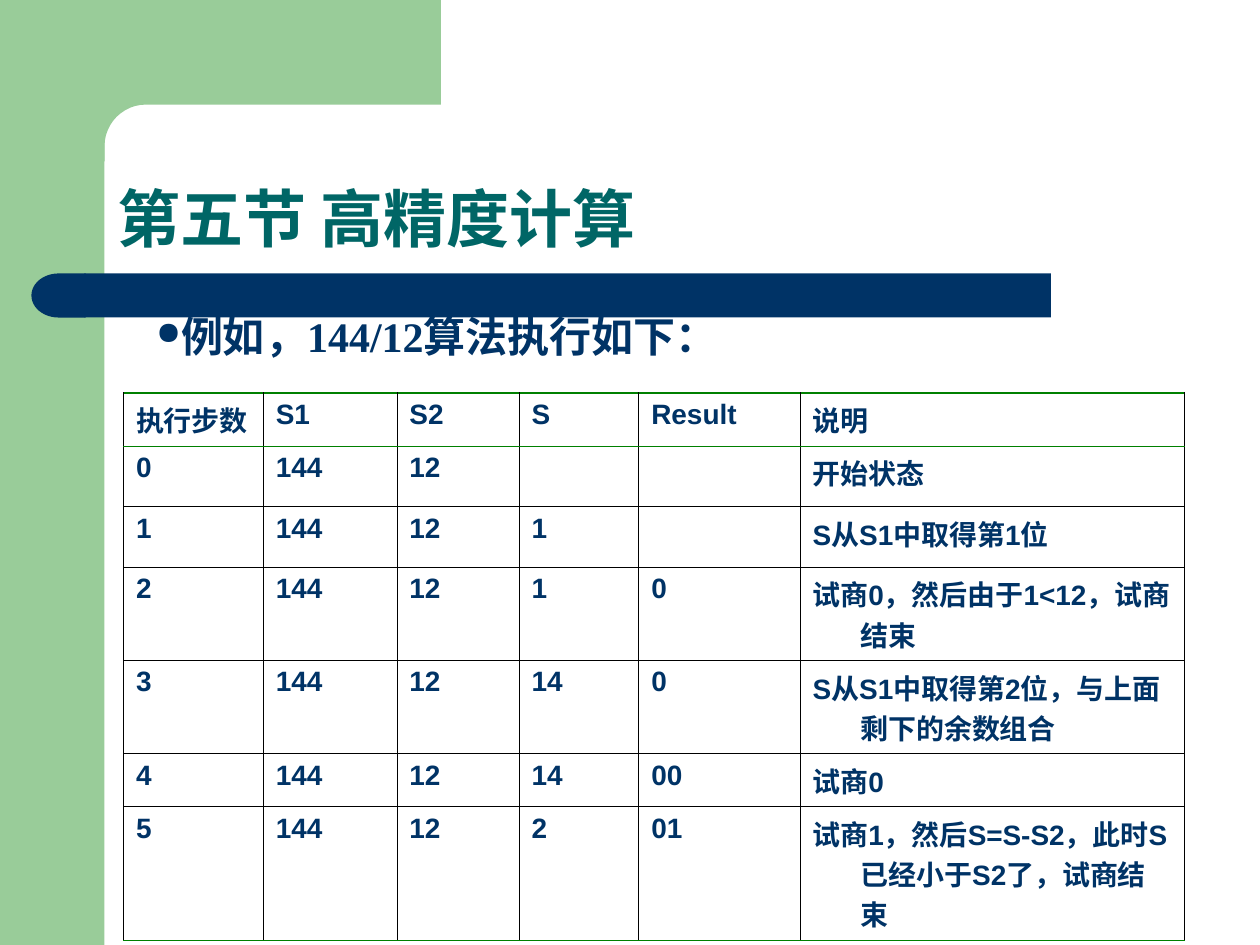
from math import cos, pi, sin

from lxml.etree import SubElement
from pptx import Presentation
from pptx.dml.color import RGBColor
from pptx.enum.shapes import MSO_SHAPE as Shape
from pptx.enum.text import MSO_ANCHOR as Anchor, MSO_AUTO_SIZE as Auto, PP_ALIGN as Align
from pptx.oxml.ns import qn
from pptx.util import Inches, Pt

TITLE = "第五节 高精度计算"
LEAD = "例如，144/12算法执行如下："
ROWS = [
    ("执行步数", "S1", "S2", "S", "Result", "说明"),
    ("0", "144", "12", "", "", "开始状态"),
    ("1", "144", "12", "1", "", "S从S1中取得第1位"),
    ("2", "144", "12", "1", "0", "试商0，然后由于1<12，试商结束"),
    ("3", "144", "12", "14", "0", "S从S1中取得第2位，与上面剩下的余数组合"),
    ("4", "144", "12", "14", "00", "试商0"),
    ("5", "144", "12", "2", "01", "试商1，然后S=S-S2，此时S已经小于S2了，试商结束"),
]
WIDTHS = [1.11, 1.06, 0.97, 0.95, 1.28, 3.05]
HEIGHTS = [0.37, 0.48, 0.48, 0.64, 0.64, 0.37, 0.9]
NAVY, TEAL, MINT = "003366", "006666", "99CC99"
THIN, RULE, EDGE = ("000000", 0.34), ("008000", 0.45), ("008000", 0.96)
LINES = [EDGE, RULE] + [THIN] * (len(ROWS) - 2) + [EDGE]


def color(code):
    return RGBColor.from_string(code)


def paint(shape, code):
    shape.shadow.inherit = False
    shape.fill.solid()
    shape.fill.fore_color.rgb = color(code)
    shape.line.fill.background()


def write(frame, text, size, font, code, **form):
    frame.word_wrap = True
    para = frame.paragraphs[0]
    for key, value in form.items():
        setattr(para, key, value)
    run = para.add_run()
    run.text = text
    look = {"size": Pt(size), "name": font, "bold": True}
    for key, value in look.items():
        setattr(run.font, key, value)
    run.font.color.rgb = color(code)
    return para


def border(cell, **sides):
    props = cell._tc.get_or_add_tcPr()
    for i, (side, (code, width)) in enumerate(sides.items()):
        line = props.makeelement(qn(f"a:{side}"), {"w": str(Pt(width))})
        fill = SubElement(line, qn("a:solidFill"))
        SubElement(fill, qn("a:srgbClr"), val=code)
        props.insert(i, line)


def backdrop(shapes):
    bar = shapes.add_shape(Shape.RECTANGLE, 0, 0, Inches(0.83), Inches(7.5))
    paint(bar, MINT)
    mid, rad = 1.16, 0.33
    arc = [(mid - rad * sin(a), mid - rad * cos(a))
           for a in (pi / 2 * i / 12 for i in range(13))]
    points = [(3.5, 0), (3.5, 0.83), *arc, (0.83, 1.28), (0.5, 1.28), (0.5, 0)]
    first, *rest = [(Inches(x), Inches(y)) for x, y in points]
    corner = shapes.build_freeform(*first)
    corner.add_line_segments(rest, close=True)
    paint(corner.convert_to_shape(), MINT)
    for kind, left, width in ((Shape.RECTANGLE, 0.67, 7.67),
                              (Shape.FLOWCHART_DELAY, 0.25, 0.43)):
        band = shapes.add_shape(kind, Inches(left), Inches(2.17), Inches(width), Inches(0.35))
        paint(band, NAVY)
        if kind == Shape.FLOWCHART_DELAY:
            band._element.spPr.xfrm.set("flipH", "1")


def heading(shapes):
    title = shapes.title
    shapes._spTree.append(title._element)
    title.left, title.top, title.width, title.height = map(Inches, (0.83, 0.83, 8.67, 1.25))
    frame = title.text_frame
    frame.auto_size, frame.vertical_anchor = Auto.NONE, Anchor.BOTTOM
    write(frame, TITLE, 36, "Arial", TEAL, alignment=Align.LEFT, line_spacing=0.9)


def steps(shapes):
    table = shapes.add_table(len(ROWS), len(WIDTHS), Inches(0.98), Inches(3.12),
                             Inches(sum(WIDTHS)), Inches(sum(HEIGHTS))).table
    table.first_row = table.horz_banding = False
    for col, width in zip(table.columns, WIDTHS):
        col.width = Inches(width)
    for r, texts in enumerate(ROWS):
        table.rows[r].height = Inches(HEIGHTS[r])
        for c, text in enumerate(texts):
            cell = table.cell(r, c)
            cell.fill.background()
            border(cell, lnL=THIN, lnR=THIN, lnT=LINES[r], lnB=LINES[r + 1])
            if text:
                para = write(cell.text_frame, text, 16, "Arial", NAVY)
                props = para._p.get_or_add_pPr()
                props.set("marL", str(Inches(0.38)))
                props.set("indent", str(-Inches(0.38)))


def lead(shapes):
    box = shapes.add_textbox(*map(Inches, (1.14, 2.49, 8.27, 0.42)))
    box.text_frame.auto_size = Auto.SHAPE_TO_FIT_TEXT
    para = write(box.text_frame, LEAD, 24, "Times New Roman", NAVY,
                 line_spacing=0.8, space_before=Pt(6))
    props = para._p.get_or_add_pPr()
    tint = SubElement(props, qn("a:buClr"))
    SubElement(tint, qn("a:srgbClr"), val=NAVY)
    SubElement(props, qn("a:buSzPct"), val="75000")
    SubElement(props, qn("a:buChar"), char="●")


def main():
    deck = Presentation()
    deck.slide_width, deck.slide_height = Inches(10), Inches(7.5)
    shapes = deck.slides.add_slide(deck.slide_layouts[5]).shapes
    for part in (backdrop, heading, steps, lead):
        part(shapes)
    deck.save("out.pptx")


if __name__ == "__main__":
    main()
